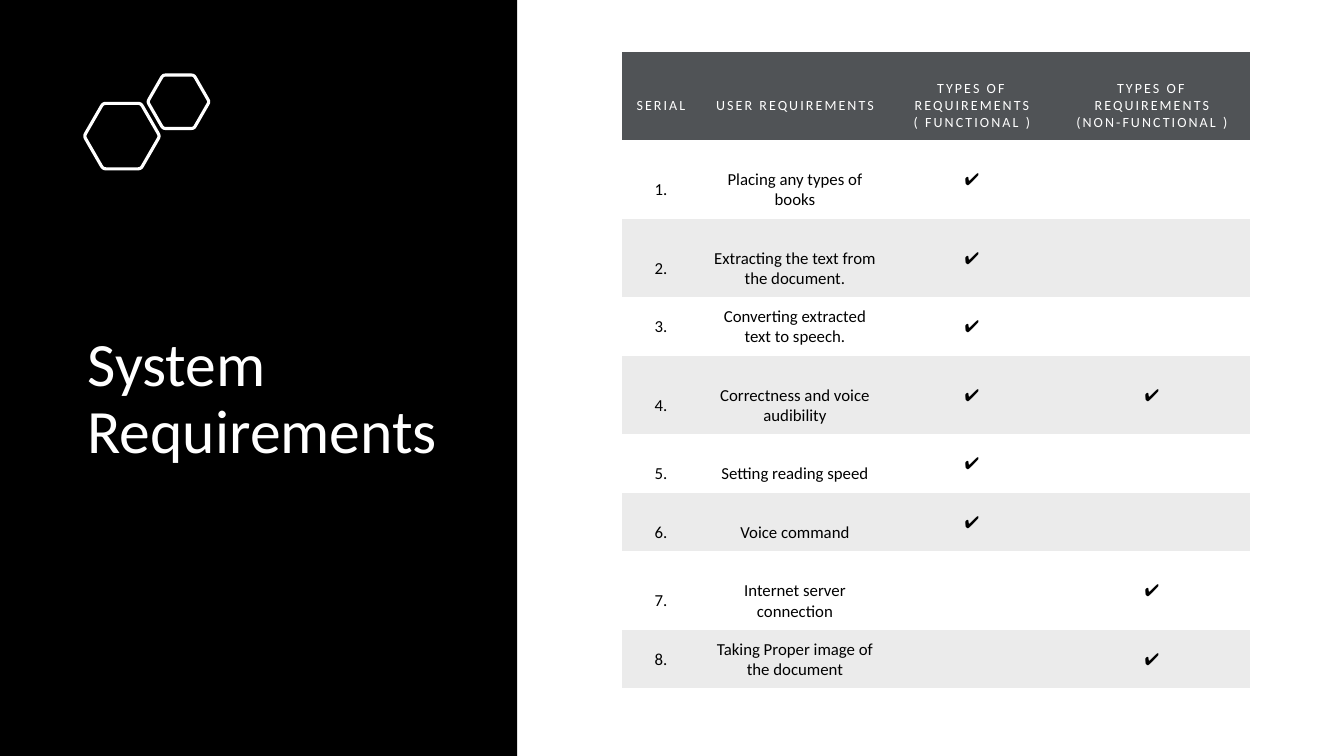
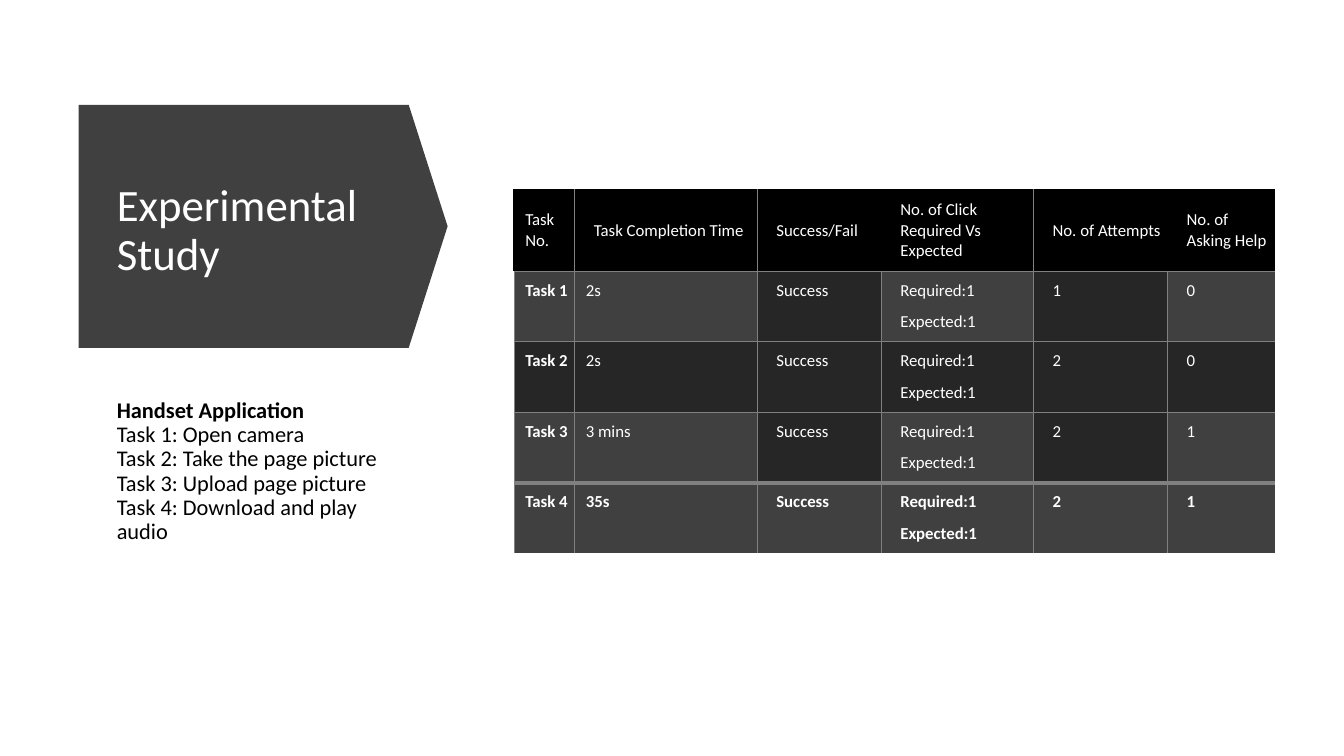
from dataclasses import dataclass
from math import cos, pi, sin

from lxml import etree
from pptx import Presentation
from pptx.dml.color import RGBColor
from pptx.enum.shapes import MSO_SHAPE
from pptx.enum.text import MSO_ANCHOR, PP_ALIGN
from pptx.oxml.ns import qn
from pptx.util import Inches, Pt


@dataclass(frozen=True)
class Theme:
    font: str = "Calibri"
    black: str = "000000"
    white: str = "FFFFFF"
    header: str = "505356"
    stripe: str = "EBEBEB"
    dark: str = "262626"
    charcoal: str = "404040"
    grid: str = "808080"
    title: int = 44
    small_title: int = 32
    body: int = 16
    cell: int = 12
    caption: int = 10
    tracking: float = 1.5
    line_spacing: float = 0.9
    no_table_style: str = "{2D5ABB26-0587-4C30-8999-92F81FD0307C}"


THEME = Theme()
TICK = "✔"

REQUIREMENT_HEADINGS = [
    ["SERIAL"],
    ["USER REQUIREMENTS"],
    ["TYPES OF REQUIREMENTS", "( FUNCTIONAL )"],
    ["TYPES OF REQUIREMENTS", "(NON-FUNCTIONAL )"],
]
# requirement, functional, non-functional, row height, text set one line lower
REQUIREMENTS = [
    ("Placing any types of books", True, False, 0.78, True),
    ("Extracting the text from the document.", True, False, 0.78, True),
    ("Converting extracted text to speech.", True, False, 0.58, False),
    ("Correctness and voice audibility", True, True, 0.78, True),
    ("Setting reading speed", True, False, 0.58, True),
    ("Voice command", True, False, 0.58, True),
    ("Internet server connection", False, True, 0.78, True),
    ("Taking Proper image of the document", False, True, 0.58, False),
]
REQUIREMENT_WIDTHS = [0.77, 1.89, 1.62, 1.95]
HEXAGONS = [(1.21, 1.35, 0.65), (1.77, 1.01, 0.53)]  # centre x, centre y, height

TASK_NOTES = [
    "Handset Application",
    "Task 1: Open camera",
    "Task 2: Take the page picture",
    "Task 3: Upload page picture",
    "Task 4: Download and play audio",
]
STUDY_HEADINGS = ["Task No.", "Task Completion Time", "Success/Fail",
                  "No. of Click Required Vs Expected", "No. of Attempts",
                  "No. of Asking Help"]
CLICKS = ["Required:1", "Expected:1"]
STUDY_RESULTS = [  # time, attempts, help
    ("2s", "1", "0"),
    ("2s", "2", "0"),
    ("3 mins", "2", "1"),
    ("35s", "2", "1"),
]
STUDY_WIDTHS = [0.6, 1.81, 1.23, 1.51, 1.33, 1.07]
STUDY_HEIGHTS = [0.81] + [0.7] * len(STUDY_RESULTS)


def rgb(color):
    return RGBColor.from_string(color)


def write(frame, lines, size, color, bold=False, align=PP_ALIGN.LEFT,
          spacing=None, gap=0, tracking=0):
    """Put one paragraph per line in the frame; gap is the space between them."""
    for index, line in enumerate(lines):
        paragraph = frame.paragraphs[0] if index == 0 else frame.add_paragraph()
        paragraph.alignment = align
        if spacing:
            paragraph.line_spacing = spacing
        if index and gap:
            paragraph.space_before = Pt(gap)
        run = paragraph.add_run()
        run.text = line
        for name, value in {"name": THEME.font, "size": Pt(size), "bold": bold}.items():
            setattr(run.font, name, value)
        run.font.color.rgb = rgb(color)
        if tracking:
            run.font._element.set("spc", str(round(tracking * 100)))


def add_text(slide, box, lines, size, color, anchor, top_inset=0.05):
    shape = slide.shapes.add_textbox(*map(Inches, box))
    frame = shape.text_frame
    frame.word_wrap = True
    frame.vertical_anchor = anchor
    frame.margin_top = Inches(top_inset)
    write(frame, lines, size, color, spacing=THEME.line_spacing)
    return frame


def add_panel(slide, preset, box, color):
    shape = slide.shapes.add_shape(preset, *map(Inches, box))
    shape.shadow.inherit = False
    shape.fill.solid()
    shape.fill.fore_color.rgb = rgb(color)
    shape.line.fill.background()
    return shape


def add_table(slide, left, top, widths, heights):
    frame = slide.shapes.add_table(
        len(heights), len(widths), *map(Inches, (left, top, sum(widths), sum(heights))))
    table = frame.table
    table._tbl.tblPr.find(qn("a:tableStyleId")).text = THEME.no_table_style
    for column, width in zip(table.columns, widths):
        column.width = Inches(width)
    for row, height in zip(table.rows, heights):
        row.height = Inches(height)
    return table


def format_cell(cell, fill, anchor, left, top, right, bottom):
    margins = {"margin_left": left, "margin_top": top,
               "margin_right": right, "margin_bottom": bottom}
    for name, value in margins.items():
        setattr(cell, name, Inches(value))
    cell.vertical_anchor = anchor
    if fill:
        cell.fill.solid()
        cell.fill.fore_color.rgb = rgb(fill)
    else:
        cell.fill.background()


def set_borders(cell, borders):
    """Draw the left, right, top and bottom borders, each (colour, points) or None."""
    properties = cell._tc.get_or_add_tcPr()
    for index, (side, border) in enumerate(zip("LRTB", borders)):
        line = etree.Element(qn(f"a:ln{side}"))
        if border:
            color, width = border
            line.set("w", str(Pt(width)))
            fill = etree.SubElement(line, qn("a:solidFill"))
            etree.SubElement(fill, qn("a:srgbClr")).set("val", color)
        else:
            line.set("w", "0")
            etree.SubElement(line, qn("a:noFill"))
        properties.insert(index, line)


def rounded_hexagon(center_x, center_y, height, trim=0.08, steps=4):
    """Points of a flat-topped hexagon whose corners are quadratic curves."""
    radius = height / 3 ** 0.5
    corners = [(center_x + radius * cos(k * pi / 3), center_y + radius * sin(k * pi / 3))
               for k in range(6)]
    points = []
    for k, corner in enumerate(corners):
        before, after = corners[k - 1], corners[(k + 1) % 6]
        for step in range(steps + 1):
            t = step / steps
            points.append(tuple(
                c + trim * ((1 - t) ** 2 * (b - c) + t ** 2 * (a - c))
                for b, c, a in zip(before, corner, after)))
    return points


def add_hexagons(slide):
    group = slide.shapes.add_group_shape()
    for hexagon in HEXAGONS:
        points = [(Inches(x), Inches(y)) for x, y in rounded_hexagon(*hexagon)]
        builder = group.shapes.build_freeform(*points[0], scale=1.0)
        builder.add_line_segments(points[1:], close=True)
        shape = builder.convert_to_shape()
        shape.shadow.inherit = False
        shape.fill.background()
        shape.line.color.rgb = rgb(THEME.white)
        shape.line.width = Pt(2.25)


def build_requirements(slide):
    add_panel(slide, MSO_SHAPE.RECTANGLE, (0, 0, 5.13, 7.5), THEME.black)
    add_text(slide, (0.77, 1.77, 3.89, 2.91), ["System Requirements"],
             THEME.title, THEME.white, MSO_ANCHOR.BOTTOM)
    add_hexagons(slide)

    heights = [0.87] + [requirement[3] for requirement in REQUIREMENTS]
    table = add_table(slide, 6.17, 0.52, REQUIREMENT_WIDTHS, heights)
    for column, lines in enumerate(REQUIREMENT_HEADINGS):
        cell = table.cell(0, column)
        format_cell(cell, THEME.header, MSO_ANCHOR.MIDDLE, 0.09, 0.26, 0.09, 0.08)
        write(cell.text_frame, lines, THEME.caption, THEME.white,
              align=PP_ALIGN.CENTER, tracking=THEME.tracking)

    for row, (name, functional, other, _, lowered) in enumerate(REQUIREMENTS, 1):
        texts = [f"{row}.", name, TICK if functional else "", TICK if other else ""]
        fill = THEME.stripe if row % 2 == 0 else None
        for column, value in enumerate(texts):
            top = 0.29 if lowered and column < 2 else 0.09
            cell = table.cell(row, column)
            format_cell(cell, fill, MSO_ANCHOR.MIDDLE, 0.09, top, 0.09, 0.08)
            if value:
                write(cell.text_frame, [value], THEME.cell, THEME.black,
                      align=PP_ALIGN.CENTER)


def study_fill(row, column, last):
    if row == 0:
        return THEME.black
    if row == last:
        return THEME.charcoal
    return THEME.dark if row % 2 == 0 or column in (2, 4) else THEME.charcoal


def build_study(slide):
    arrow = add_panel(slide, MSO_SHAPE.PENTAGON, (0.78, 1.04, 3.66, 2.41), THEME.charcoal)
    arrow.adjustments[0] = 0.16
    add_text(slide, (1.06, 1.32, 2.92, 1.95), ["Experimental Study"],
             THEME.small_title, THEME.white, MSO_ANCHOR.MIDDLE)
    notes = add_text(slide, (1.06, 3.67, 2.92, 2.65), TASK_NOTES,
                     THEME.body, THEME.black, MSO_ANCHOR.TOP, top_inset=0.29)
    notes.paragraphs[0].runs[0].font.bold = True

    thin, thick, edge = (THEME.grid, 0.5), (THEME.grid, 3), (THEME.black, 1.5)
    header_lines = [edge, thin, thin, None, thin, None, None]
    body_lines = [thin] * len(STUDY_WIDTHS) + [None]
    row_lines = [edge, thin, thin, thin, thick, None]

    rows = [[[heading] for heading in STUDY_HEADINGS]]
    for number, (time, attempts, helped) in enumerate(STUDY_RESULTS, 1):
        rows.append([[f"Task {number}"], [time], ["Success"], CLICKS, [attempts], [helped]])
    last = len(rows) - 1

    table = add_table(slide, 5.1, 1.88, STUDY_WIDTHS, STUDY_HEIGHTS)
    for row, cells in enumerate(rows):
        column_lines = body_lines if row else header_lines
        anchor = MSO_ANCHOR.TOP if row else MSO_ANCHOR.MIDDLE
        for column, lines in enumerate(cells):
            cell = table.cell(row, column)
            indented = column > 1 or (row == 0 and column == 1)
            format_cell(cell, study_fill(row, column, last), anchor,
                        0.19 if indented else 0.11, 0.09, 0, 0.09)
            set_borders(cell, (column_lines[column], column_lines[column + 1],
                               row_lines[row], row_lines[row + 1]))
            write(cell.text_frame, lines, THEME.cell, THEME.white, gap=8,
                  bold=row == last or (row > 0 and column == 0))


def main():
    presentation = Presentation()
    presentation.slide_width = Inches(13.33)
    presentation.slide_height = Inches(7.5)
    for build in (build_requirements, build_study):
        build(presentation.slides.add_slide(presentation.slide_layouts[6]))
    presentation.save("out.pptx")


if __name__ == "__main__":
    main()
